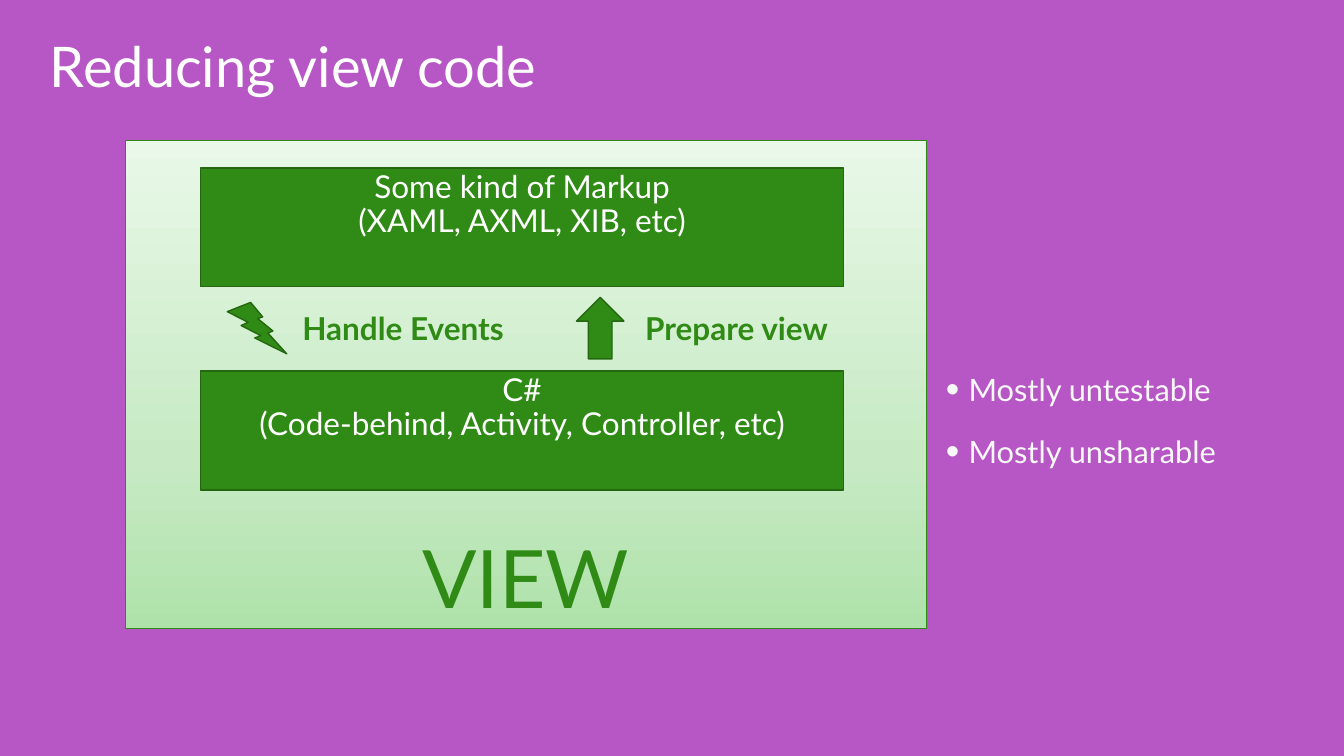
from copy import deepcopy

from lxml import etree
from pptx import Presentation
from pptx.dml.color import RGBColor
from pptx.enum.shapes import MSO_SHAPE
from pptx.enum.text import MSO_ANCHOR, MSO_AUTO_SIZE, PP_ALIGN
from pptx.oxml.ns import qn
from pptx.util import Inches, Pt

RECT = MSO_SHAPE.RECTANGLE
BOLT = MSO_SHAPE.LIGHTNING_BOLT
ARROW = MSO_SHAPE.DOWN_ARROW
TOP, MIDDLE, BOTTOM = MSO_ANCHOR.TOP, MSO_ANCHOR.MIDDLE, MSO_ANCHOR.BOTTOM
LEFT, CENTER = PP_ALIGN.LEFT, PP_ALIGN.CENTER
GROW = MSO_AUTO_SIZE.SHAPE_TO_FIT_TEXT

COLORS = {
    "back": "B756C5", "green": "308B16", "edge": "246710", "frame": "2D8B13",
    "white": "FFFFFF", "pale": "F8F8F8",
}
FADE = [(0, "AFE2AA"), (0.35, "C7EAC4"), (1, "E9F8E8")]
FONT = "Lato"
BOX_LEFT, BOX_WIDTH = 3.98, 12.76
LABEL_TOP, LABEL_HIGH = 6.07, 0.87


def rgb(name):
    return RGBColor.from_string(COLORS[name])


def apply(target, values):
    for key, value in values.items():
        setattr(target, key, value)


class Painter:
    def __init__(self, slide):
        self.slide = slide
        self.para = {"line_spacing": 0.9, "space_before": Pt(35), "alignment": CENTER}

    def ground(self, color):
        fill = self.slide.background.fill
        fill.solid()
        fill.fore_color.rgb = rgb(color)

    def shape(self, kind, box, edge="edge", width=2, turn=0):
        shape = self.slide.shapes.add_shape(kind, *map(Inches, box))
        shape.shadow.inherit = False
        shape.rotation = turn
        shape.fill.solid()
        shape.fill.fore_color.rgb = rgb("green")
        shape.line.color.rgb = rgb(edge)
        shape.line.width = Pt(width)
        return shape

    def fade(self, shape, stops):
        shape.fill.gradient()
        shape.fill.gradient_angle = 90
        first = next(shape._element.spPr.iter(qn("a:gs")))
        first.addnext(deepcopy(first))
        for stop, (place, color) in zip(shape.fill.gradient_stops, stops):
            stop.position = place
            stop.color.rgb = RGBColor.from_string(color)

    def letter(self, shape, lines, size, color="white", bold=False,
               anchor=TOP, inset=0.06, wrap=True, para=None):
        frame = shape.text_frame
        sides = ("left", "right", "top", "bottom")
        apply(frame, {f"margin_{side}": Inches(inset) for side in sides})
        apply(frame, {"word_wrap": wrap, "vertical_anchor": anchor})
        for index, line in enumerate(lines):
            item = frame.add_paragraph() if index else frame.paragraphs[0]
            item.text = line
            apply(item, self.para if para is None else para)
            for run in item.runs:
                apply(run.font, {"name": FONT, "size": Pt(size), "bold": bold})
                run.font.color.rgb = rgb(color)
        return frame

    def text(self, box, lines, size, **style):
        shape = self.slide.shapes.add_textbox(*map(Inches, box))
        return self.letter(shape, lines, size, **style)

    def label(self, left, width, line):
        frame = self.text((left, LABEL_TOP, width, LABEL_HIGH), [line], 45,
                          color="green", bold=True, anchor=MIDDLE, wrap=False,
                          para={"alignment": LEFT})
        frame.auto_size = GROW

    def bullets(self, box, lines):
        frame = self.text(box, lines, 44, color="pale", inset=0,
                          para={"space_before": Pt(35), "alignment": LEFT})
        for item in frame.paragraphs:
            props = item._p.get_or_add_pPr()
            props.set("marL", str(Inches(0.45)))
            props.set("indent", str(Inches(-0.45)))
            etree.SubElement(props, qn("a:buSzPct"), val="125000")
            etree.SubElement(props, qn("a:buFont"), typeface="Arial")
            etree.SubElement(props, qn("a:buChar"), char="•")


def main():
    deck = Presentation()
    deck.slide_width, deck.slide_height = Inches(26.67), Inches(15)
    art = Painter(deck.slides.add_slide(deck.slide_layouts[6]))
    art.ground("back")

    view = art.shape(RECT, (2.48, 2.78, 15.91, 9.69), "frame", 0.75)
    art.fade(view, FADE)
    art.letter(view, ["VIEW"], 115, color="green", anchor=BOTTOM)

    layers = [
        (3.33, "Some kind of Markup\v(XAML, AXML, XIB, etc)"),
        (7.36, "C#\v(Code-behind, Activity, Controller, etc)"),
    ]
    for top, line in layers:
        box = art.shape(RECT, (BOX_LEFT, top, BOX_WIDTH, 2.36))
        art.letter(box, [line], 45)

    art.shape(BOLT, (4.51, 6, 1.18, 1.02))
    art.label(5.94, 4.33, "Handle Events")
    art.shape(ARROW, (11.44, 5.9, 0.94, 1.22), turn=180)
    art.label(12.74, 3.95, "Prepare view")

    art.text((0.99, 0.12, 22.97, 2.5), ["Reducing view code"], 80, anchor=MIDDLE,
             inset=0, para={"line_spacing": 0.9, "alignment": LEFT})
    art.bullets((18.77, 7.36, 6.3, 2.35), ["Mostly untestable", "Mostly unsharable"])
    deck.save("out.pptx")


if __name__ == "__main__":
    main()
